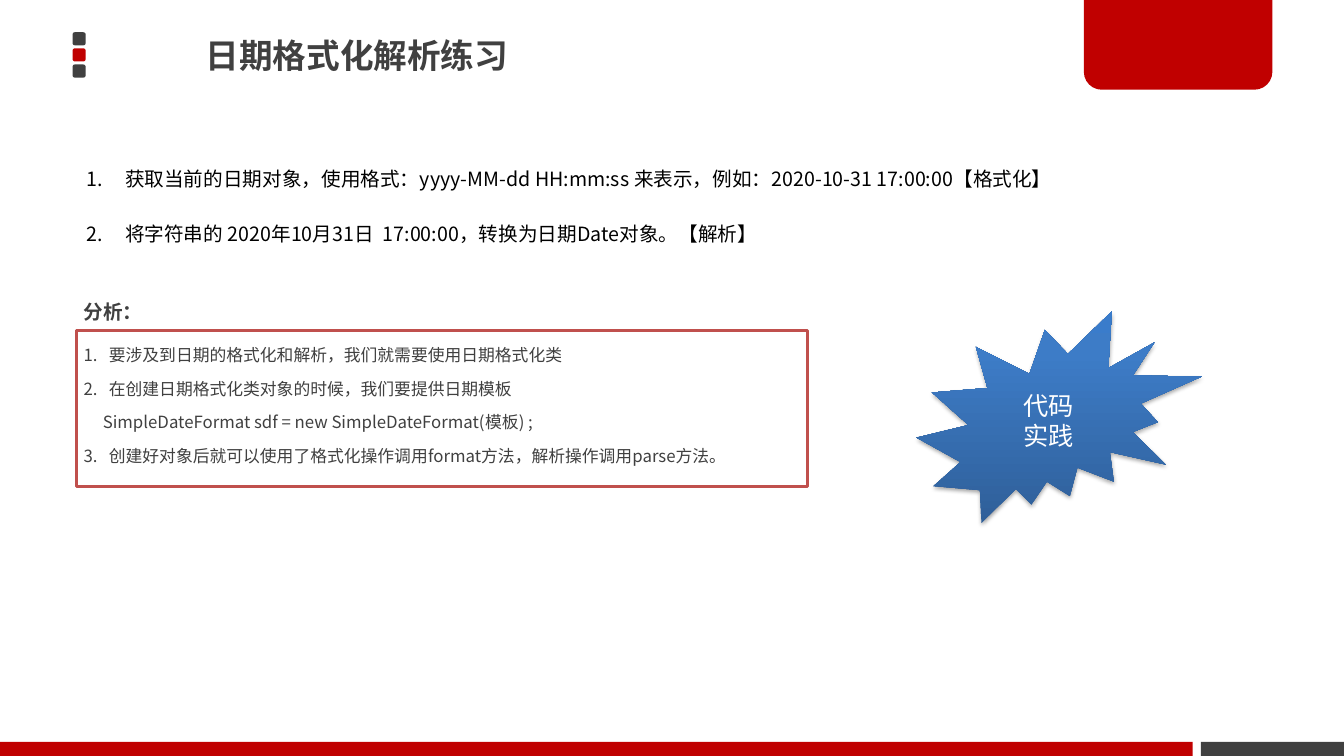
from copy import deepcopy
from typing import NamedTuple

from lxml.etree import SubElement as Sub
from pptx import Presentation
from pptx.dml.color import RGBColor as RGB
from pptx.enum.shapes import MSO_SHAPE as Kind
from pptx.enum.text import MSO_ANCHOR as Anchor, MSO_AUTO_SIZE as Auto, PP_ALIGN as Align
from pptx.oxml.ns import qn
from pptx.util import Inches, Pt

RED = RGB(0xC0, 0x00, 0x00)
GRAY = RGB(0x40, 0x40, 0x40)
BLACK = RGB(0x00, 0x00, 0x00)
WHITE = RGB(0xFF, 0xFF, 0xFF)
ROSE = RGB(0xC0, 0x50, 0x4D)
STOPS = [
    (0, RGB(0x2F, 0x5F, 0x99)),
    (0.8, RGB(0x3D, 0x7C, 0xC7)),
    (1, RGB(0x3A, 0x7C, 0xCB)),
]
FONT = "Noto Sans CJK JP"
LEADING = 1.2


class Box(NamedTuple):
    left: float
    top: float
    width: float
    height: float


class Block(NamedTuple):
    kind: Kind
    box: Box
    color: RGB
    bends: tuple = ()


class Style(NamedTuple):
    size: int
    color: RGB
    bold: bool = False
    align: Align = Align.LEFT
    leading: float = LEADING
    gap: float = 0


class Line(NamedTuple):
    text: str
    number: int = 0
    indent: float = 0


def place(shape, box: Box) -> None:
    shape.left, shape.top, shape.width, shape.height = map(Inches, box)


def draw(slide, block: Block):
    shape = slide.shapes.add_shape(block.kind, *map(Inches, block.box))
    shape.shadow.inherit = False
    shape.fill.solid()
    shape.fill.fore_color.rgb = block.color
    shape.line.fill.background()
    for spot, bend in enumerate(block.bends):
        shape.adjustments[spot] = bend
    return shape


def write(shape, lines: list[Line], style: Style, anchor=Anchor.TOP, pad=(0.07, 0.04)) -> None:
    frame = shape.text_frame
    frame.word_wrap = True
    frame.auto_size = Auto.NONE
    frame.vertical_anchor = anchor
    frame.margin_left = frame.margin_right = Inches(pad[0])
    frame.margin_top = frame.margin_bottom = Inches(pad[1])
    frame.text = "\n".join(line.text for line in lines)
    for spot, (para, line) in enumerate(zip(frame.paragraphs, lines)):
        para.alignment = style.align
        para.line_spacing = Pt(style.size * style.leading)
        para.space_before = Pt(style.gap if spot else 0)
        props = para._p.get_or_add_pPr()
        props.set("marL", str(Inches(line.indent)))
        props.set("indent", str(-Inches(line.indent) if line.number else 0))
        if line.number:
            Sub(props, qn("a:buAutoNum"), type="arabicPeriod", startAt=str(line.number))
        for run in para.runs:
            font = run.font
            font.name, font.size, font.bold = FONT, Pt(style.size), style.bold
            font.color.rgb = style.color
            Sub(run._r.get_or_add_rPr(), qn("a:ea"), typeface=FONT)


def shade(shape) -> None:
    shape.fill.gradient()
    shape.fill.gradient_angle = 90
    props = shape._element.spPr
    stops = props.find(".//" + qn("a:gsLst"))
    stops.append(deepcopy(stops[-1]))
    for stop, (place_at, color) in zip(shape.fill.gradient_stops, STOPS):
        stop.position = place_at
        stop.color.rgb = color
    glow = Sub(props.find(qn("a:effectLst")), qn("a:outerShdw"), blurRad=str(Pt(3.1)),
               dist=str(Pt(1.8)), dir="5400000", rotWithShape="0")
    tint = Sub(glow, qn("a:srgbClr"), val=str(BLACK))
    Sub(tint, qn("a:alpha"), val="35000")


deck = Presentation()
deck.slide_width, deck.slide_height = Inches(13.33), Inches(7.5)
slide = deck.slides.add_slide(deck.slide_layouts[1])

blocks = [
    Block(Kind.ROUNDED_RECTANGLE, Box(0.72, 0.32 + 0.16 * row, 0.13, 0.13), color, (0.17,))
    for row, color in enumerate((GRAY, RED, GRAY))
]
blocks += [
    Block(Kind.RECTANGLE, Box(11.91, 7.36, 1.42, 0.14), GRAY),
    Block(Kind.ROUND_2_SAME_RECTANGLE, Box(10.75, 0, 1.87, 0.89), RED, (0, 0.2)),
    Block(Kind.RECTANGLE, Box(0, 7.36, 11.83, 0.14), RED),
]
for block in blocks:
    draw(slide, block)

title = slide.shapes.title
place(title, Box(1.97, 0.26, 8.54, 0.57))
write(title, [Line("日期格式化解析练习")], Style(24, GRAY, True), Anchor.MIDDLE)

tasks = slide.placeholders[1]
place(tasks, Box(0.76, 1.61, 11.89, 0.81))
write(tasks, [
    Line("获取当前的日期对象，使用格式：yyyy-MM-dd HH:mm:ss 来表示，例如：2020-10-31 17:00:00【格式化】", 1, 0.38),
    Line("将字符串的 2020年10月31日  17:00:00，转换为日期Date对象。【解析】", 2, 0.38),
], Style(14, BLACK, gap=22.5), pad=(0.1, 0.05))

label = slide.shapes.add_textbox(*map(Inches, Box(0.76, 2.81, 5.44, 0.57)))
write(label, [Line("分析：")], Style(14, GRAY, True), Anchor.MIDDLE)

panel = draw(slide, Block(Kind.RECTANGLE, Box(0.76, 3.28, 7.25, 1.55), WHITE))
panel.line.color.rgb = ROSE
panel.line.width = Pt(2)
write(panel, [
    Line("要涉及到日期的格式化和解析，我们就需要使用日期格式化类", 1, 0.25),
    Line("在创建日期格式化类对象的时候，我们要提供日期模板", 2, 0.25),
    Line("SimpleDateFormat sdf = new SimpleDateFormat(模板) ;", indent=0.19),
    Line("创建好对象后就可以使用了格式化操作调用format方法，解析操作调用parse方法。", 3, 0.25),
], Style(12, GRAY, leading=1.5 * LEADING, gap=2.4))

burst = draw(slide, Block(Kind.EXPLOSION2, Box(9.09, 3.09, 2.83, 2.1), WHITE))
shade(burst)
write(burst, [Line("代码"), Line("实践")], Style(18, WHITE, align=Align.CENTER),
      Anchor.MIDDLE, (0.1, 0.05))

deck.save("out.pptx")
